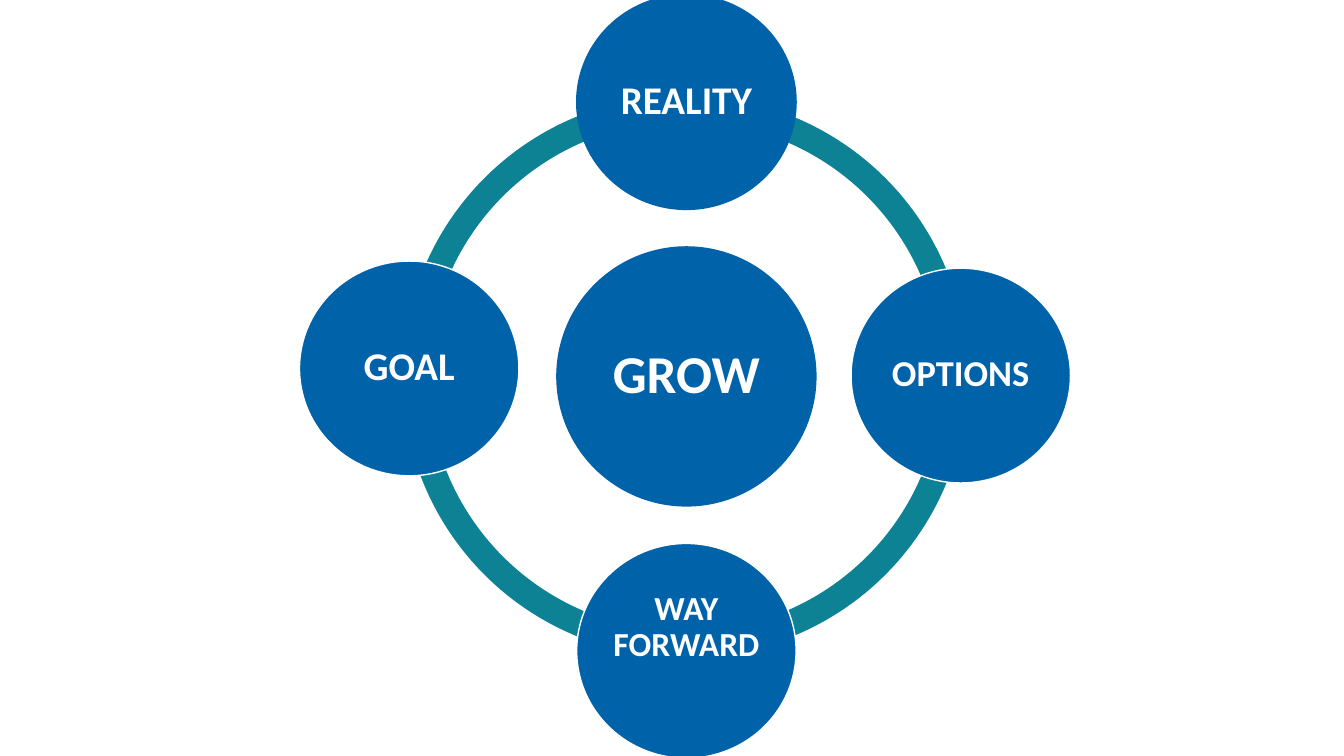
from pptx import Presentation
from pptx.dml.color import RGBColor
from pptx.enum.shapes import MSO_SHAPE
from pptx.enum.text import MSO_ANCHOR, PP_ALIGN
from pptx.util import Pt

BLUE = RGBColor(0x00, 0x62, 0xA9)
TEAL = RGBColor(0x0D, 0x82, 0x95)
WHITE = RGBColor(0xFF, 0xFF, 0xFF)

RING_SIZE = (401.8, 401.8)
RING_THICKNESS = 0.046
ORBIT = 196
HUB_SIZE = (185, 185)
STAGE_SIZE = (156.7, 153.4)

ARCS = [
    (-2.1, 0.3, 181.82, 270.7),
    (-2.1, -0.4, 89.31, 181.54),
    (0, -0.4, 0, 90),
    (0, 0.3, 270, 359.72),
]
STAGES = [
    ("REALITY", 0, -ORBIT, 28, BLUE, 3),
    ("OPTIONS", ORBIT, -0.6, 26, WHITE, 3),
    ("WAY FORWARD", 0, ORBIT, 24, WHITE, 35),
    ("GOAL", -ORBIT - 2, -5.7, 28, WHITE, 3),
]


def add_centred_shape(page, kind, middle, size, fill):
    (x, y), (width, height) = middle, size
    shape = page.shapes.add_shape(
        kind, Pt(x - width / 2), Pt(y - height / 2), Pt(width), Pt(height))
    shape.shadow.inherit = False
    shape.fill.solid()
    shape.fill.fore_color.rgb = fill
    return shape


def write_text(shape, text, font_size, inset=2, bottom=2):
    frame = shape.text_frame
    frame.word_wrap = True
    frame.vertical_anchor = MSO_ANCHOR.MIDDLE
    frame.margin_left = frame.margin_right = frame.margin_top = Pt(inset)
    frame.margin_bottom = Pt(bottom)
    para = frame.paragraphs[0]
    para.alignment = PP_ALIGN.CENTER
    para.line_spacing = 0.9
    span = para.add_run()
    span.text = text
    span.font.name = "Calibri"
    span.font.size = Pt(font_size)
    span.font.bold = True
    span.font.color.rgb = WHITE


def add_circle(page, middle, size, outline, text, **text_format):
    circle = add_centred_shape(page, MSO_SHAPE.OVAL, middle, size, BLUE)
    circle.line.color.rgb = outline
    circle.line.width = Pt(1)
    write_text(circle, text, **text_format)


def draw_ring(page, box):
    left, top, width, height = box
    x, y = left + width / 2, top + height / 2
    for across, down, start, end in ARCS:
        arc = add_centred_shape(page, MSO_SHAPE.BLOCK_ARC, (x + across, y + down),
                                RING_SIZE, TEAL)
        arc.line.fill.background()
        arc.adjustments[0] = start * 0.6
        arc.adjustments[1] = end * 0.6
        arc.adjustments[2] = RING_THICKNESS


def draw_stages(page, box):
    left, top, width, height = box
    x, y = left + width / 2, top + height / 2
    add_circle(page, (x, y), HUB_SIZE, BLUE, "GROW", font_size=38, inset=3.5, bottom=3.5)
    for text, across, down, font_size, outline, bottom in STAGES:
        add_circle(page, (x + across, y + down), STAGE_SIZE, outline, text,
                   font_size=font_size, bottom=bottom)


def main():
    deck = Presentation()
    deck.slide_width, deck.slide_height = Pt(960), Pt(540)
    page = deck.slides.add_slide(deck.slide_layouts[6])
    diagram = (215, -4, 550.6, 545.8)
    draw_ring(page, diagram)
    draw_stages(page, diagram)
    deck.save("out.pptx")


if __name__ == "__main__":
    main()
